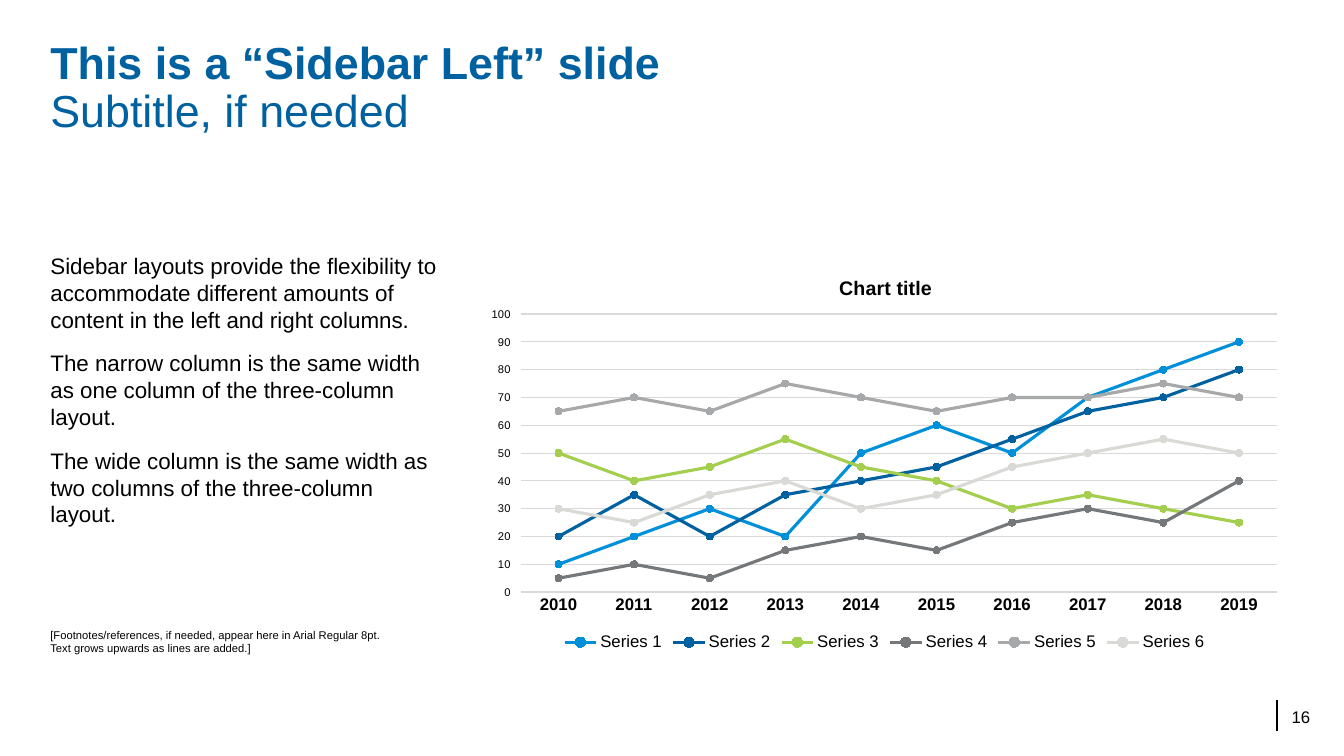
from dataclasses import dataclass

from lxml.etree import SubElement
from pptx import Presentation
from pptx.chart.chart import Chart
from pptx.chart.data import CategoryChartData
from pptx.dml.color import RGBColor
from pptx.enum.chart import XL_CHART_TYPE, XL_LEGEND_POSITION, XL_MARKER_STYLE, XL_TICK_MARK
from pptx.enum.shapes import MSO_CONNECTOR
from pptx.enum.text import MSO_ANCHOR, MSO_AUTO_SIZE, PP_ALIGN
from pptx.oxml import parse_xml
from pptx.oxml.ns import nsdecls, qn
from pptx.slide import Slide
from pptx.text.text import Font
from pptx.util import Cm, Pt

FONT = "Arial"
COLORS = {
    "text": "000000",
    "title": "0061A0",
    "grid": "D9D9D9",
    "sky": "0090DA",
    "blue": "0061A0",
    "green": "A4CE4E",
    "dark gray": "75787B",
    "gray": "A7A8AA",
    "light gray": "D9D9D6",
}
MARGIN = 1.27
CONTENT_WIDTH = 31.32
CONTENT_TOP, CONTENT_HEIGHT = 6.35, 10.16
YEARS = [str(year) for year in range(2010, 2020)]


@dataclass
class Series:
    name: str
    color: str
    values: tuple[int, ...]


@dataclass
class TextBlock:
    left: float
    top: float
    width: float
    height: float
    text: str
    size: float
    color: str = "text"
    anchor: MSO_ANCHOR = MSO_ANCHOR.TOP
    align: PP_ALIGN = PP_ALIGN.LEFT
    wrap: bool = True
    space_before: float = 0
    line_spacing: float = 1.0


SERIES = [
    Series("Series 1", "sky", (10, 20, 30, 20, 50, 60, 50, 70, 80, 90)),
    Series("Series 2", "blue", (20, 35, 20, 35, 40, 45, 55, 65, 70, 80)),
    Series("Series 3", "green", (50, 40, 45, 55, 45, 40, 30, 35, 30, 25)),
    Series("Series 4", "dark gray", (5, 10, 5, 15, 20, 15, 25, 30, 25, 40)),
    Series("Series 5", "gray", (65, 70, 65, 75, 70, 65, 70, 70, 75, 70)),
    Series("Series 6", "light gray", (30, 25, 35, 40, 30, 35, 45, 50, 55, 50)),
]

HEADING = TextBlock(
    MARGIN, 1.02, CONTENT_WIDTH, 3.81,
    "This is a “Sidebar Left” slide\vSubtitle, if needed",
    32, color="title", line_spacing=0.9,
)
SIDEBAR = TextBlock(
    MARGIN, CONTENT_TOP, 9.88, CONTENT_HEIGHT,
    "Sidebar layouts provide the flexibility to accommodate different amounts "
    "of content in the left and right columns.\n"
    "The narrow column is the same width as one column of the three-column layout.\n"
    "The wide column is the same width as two columns of the three-column layout.",
    16, space_before=12,
)
FOOTNOTES = TextBlock(
    MARGIN, 15.29, CONTENT_WIDTH, 1.22,
    "[Footnotes/references, if needed, appear here in Arial Regular 8pt.\n"
    "Text grows upwards as lines are added.]",
    8, anchor=MSO_ANCHOR.BOTTOM,
)
PAGE_NUMBER = TextBlock(
    31.75, 17.68, 1.27, 0.64, "16", 12,
    anchor=MSO_ANCHOR.BOTTOM, align=PP_ALIGN.RIGHT, wrap=False,
)


def rgb(color: str) -> RGBColor:
    return RGBColor.from_string(COLORS[color])


def style_font(font: Font, size: float, color: str = "text", bold: bool = False) -> None:
    font.name, font.size, font.bold = FONT, Pt(size), bold
    font.color.rgb = rgb(color)


def fill_text(shape, block: TextBlock) -> None:
    """Move a placeholder or text box into place and set its formatted text."""
    shape.left, shape.top = Cm(block.left), Cm(block.top)
    shape.width, shape.height = Cm(block.width), Cm(block.height)
    frame = shape.text_frame
    frame.text = block.text
    frame.auto_size = MSO_AUTO_SIZE.NONE
    frame.word_wrap = block.wrap
    frame.vertical_anchor = block.anchor
    frame.margin_left = frame.margin_right = frame.margin_top = frame.margin_bottom = 0
    for paragraph in frame.paragraphs:
        paragraph.alignment = block.align
        paragraph.space_before = Pt(block.space_before)
        paragraph.line_spacing = block.line_spacing
        for run in paragraph.runs:
            style_font(run.font, block.size, block.color)


def set_layout(parent, index: int, target: str = "", **fractions: float) -> None:
    """Give a chart part a manual position, in fractions of the chart area."""
    for automatic in parent.findall(qn("c:layout")):
        parent.remove(automatic)
    layout = parse_xml(f"<c:layout {nsdecls('c')}><c:manualLayout/></c:layout>")
    settings = {"layoutTarget": target} if target else {}
    settings |= {"xMode": "edge", "yMode": "edge"}
    settings |= {key: str(value) for key, value in fractions.items()}
    for tag, value in settings.items():
        SubElement(layout[0], qn(f"c:{tag}")).set("val", value)
    parent.insert(index, layout)


def style_axes(chart: Chart) -> None:
    years = chart.category_axis
    years.major_tick_mark = XL_TICK_MARK.NONE
    style_font(years.tick_labels.font, 12, bold=True)
    years.format.line.color.rgb = rgb("grid")
    years.format.line.width = Pt(1.5)

    scale = chart.value_axis
    scale.minimum_scale, scale.maximum_scale, scale.major_unit = 0, 100, 10
    scale.major_tick_mark = XL_TICK_MARK.OUTSIDE
    style_font(scale.tick_labels.font, 8)
    scale.format.line.fill.background()
    gridline = scale.major_gridlines.format.line
    gridline.color.rgb = rgb("grid")
    gridline.width = Pt(0.75)


def style_series(chart: Chart) -> None:
    chart.plots[0].vary_by_categories = False
    for drawn, series in zip(chart.plots[0].series, SERIES):
        drawn.smooth = False
        drawn.format.line.color.rgb = rgb(series.color)
        drawn.format.line.width = Pt(2.25)
        marker = drawn.marker
        marker.style, marker.size = XL_MARKER_STYLE.CIRCLE, 5
        marker.format.fill.solid()
        marker.format.fill.fore_color.rgb = rgb(series.color)
        marker.format.line.color.rgb = rgb(series.color)


def add_line_chart(slide: Slide) -> None:
    data = CategoryChartData()
    data.categories = YEARS
    for series in SERIES:
        data.add_series(series.name, series.values)
    chart = slide.shapes.add_chart(
        XL_CHART_TYPE.LINE_MARKERS, Cm(11.99), Cm(CONTENT_TOP),
        Cm(20.6), Cm(CONTENT_HEIGHT), data,
    ).chart
    style_font(chart.font, 12)

    chart.has_title = True
    caption = chart.chart_title.text_frame
    caption.text = "Chart title"
    style_font(caption.paragraphs[0].runs[0].font, 14, bold=True)
    set_layout(chart.chart_title.element, 1, x=0.44, y=0.05)
    plot_area = chart.element.find(f".//{qn('c:plotArea')}")
    set_layout(plot_area, 0, "inner", x=0.055, y=0.154, w=0.925, h=0.69)

    chart.has_legend = True
    chart.legend.position = XL_LEGEND_POSITION.BOTTOM
    chart.legend.include_in_layout = False
    style_font(chart.legend.font, 12)
    style_axes(chart)
    style_series(chart)


def add_page_number(slide: Slide) -> None:
    divider = slide.shapes.add_connector(
        MSO_CONNECTOR.STRAIGHT, Cm(32.18), Cm(17.63), Cm(32.18), Cm(18.42))
    divider.line.color.rgb = rgb("text")
    divider.line.width = Pt(1)
    SubElement(divider.element.spPr, qn("a:effectLst"))
    fill_text(slide.shapes.add_textbox(0, 0, 0, 0), PAGE_NUMBER)


def main() -> None:
    presentation = Presentation()
    presentation.slide_width, presentation.slide_height = Cm(33.87), Cm(19.05)
    comparison = presentation.slide_layouts[4]
    slide = presentation.slides.add_slide(comparison)

    heading, sidebar, left_content, footnotes, right_content = slide.placeholders
    for unused in (left_content, right_content):
        unused.element.getparent().remove(unused.element)
    fill_text(heading, HEADING)
    heading.text_frame.paragraphs[0].runs[0].font.bold = True
    fill_text(sidebar, SIDEBAR)
    add_line_chart(slide)
    fill_text(footnotes, FOOTNOTES)
    add_page_number(slide)
    presentation.save("out.pptx")


if __name__ == "__main__":
    main()
